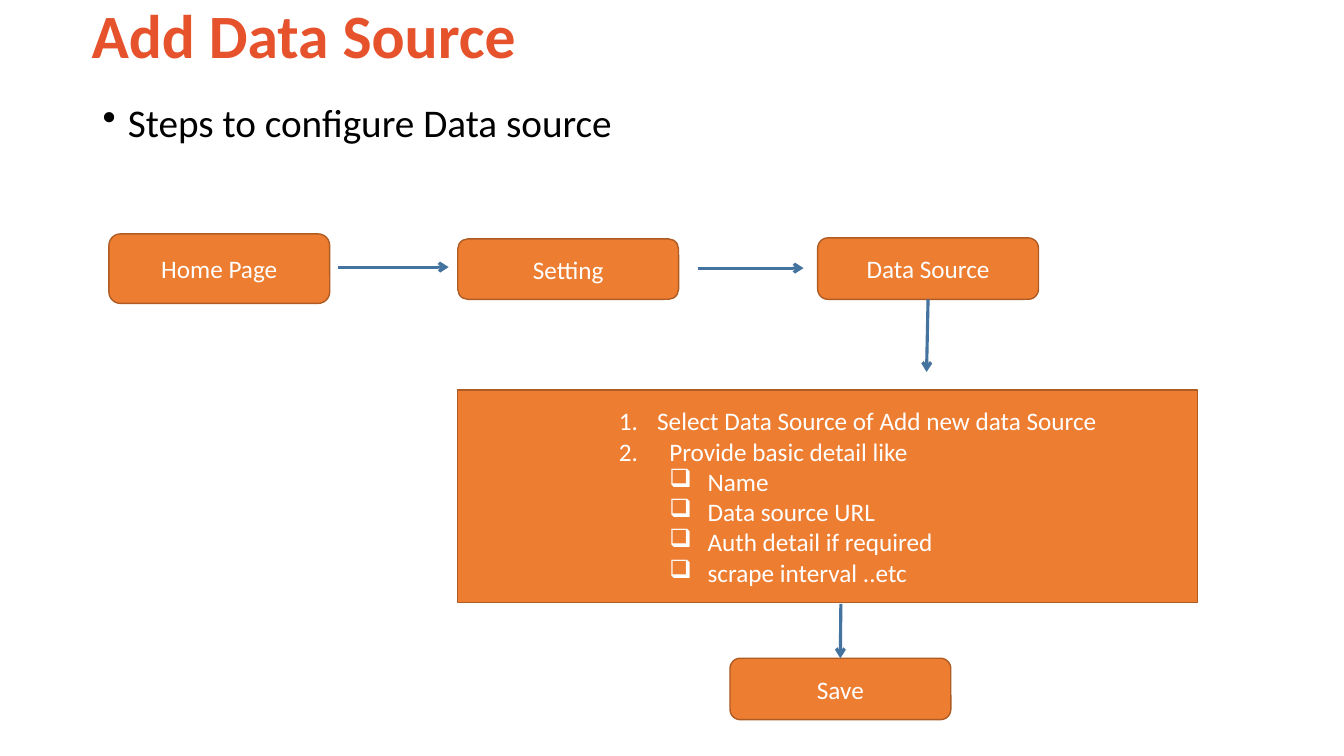
from dataclasses import dataclass

from lxml.etree import SubElement
from pptx import Presentation
from pptx.dml.color import RGBColor
from pptx.enum.shapes import MSO_CONNECTOR as Conn, MSO_SHAPE as Shape
from pptx.enum.text import MSO_ANCHOR as Anchor, PP_ALIGN as Align
from pptx.oxml.ns import qn
from pptx.util import Emu, Pt

PX = 9144
TOP, BOTTOM = 0, 2


@dataclass(frozen=True)
class Theme:
    """Colours, font and type sizes of the slide."""
    font: str = "Calibri"
    title: str = "E6522C"
    body: str = "000000"
    box: str = "ED7D31"
    border: str = "AF5C24"
    arrow: str = "43739E"
    label: str = "FFFFFF"
    title_size: int = 44
    body_size: int = 28
    label_size: int = 18


def px(n):
    """Turn px into EMU."""
    return Emu(n * PX)


def rgb(value):
    """Turn a hex string into a colour."""
    return RGBColor.from_string(value)


def write(p, text, *, font, size, color, bold=False, align=Align.LEFT,
          spacing=None, left=0, hang=0, bullet=None, number=None):
    """Write one formatted paragraph, with an optional bullet or number."""
    p.alignment = align
    if spacing:
        p.line_spacing = spacing
    r = p.add_run()
    r.text = text
    r.font.name, r.font.size, r.font.bold = font, Pt(size), bold
    r.font.color.rgb = rgb(color)
    if bullet or number:
        pPr = p._p.get_or_add_pPr()
        pPr.set("marL", str(px(left)))
        pPr.set("indent", str(-px(hang)))
        if bullet:
            SubElement(pPr, qn("a:buChar"), char=bullet)
        else:
            SubElement(pPr, qn("a:buAutoNum"), type="arabicPeriod", startAt=str(number))


class Flow:
    """Draw flow chart elements on one slide in one theme."""

    def __init__(self, slide, theme):
        """Keep the slide and the theme."""
        self.shapes, self.theme = slide.shapes, theme

    def text(self, box, text, anchor=Anchor.TOP, **style):
        """Add a one-paragraph text box."""
        tf = self.shapes.add_textbox(*map(px, box)).text_frame
        tf.word_wrap, tf.vertical_anchor = True, anchor
        write(tf.paragraphs[0], text, font=self.theme.font, spacing=0.9, **style)

    def box(self, box, lines, kind=Shape.ROUNDED_RECTANGLE):
        """Add a filled box holding pairs of text and paragraph format."""
        t = self.theme
        sp = self.shapes.add_shape(kind, *map(px, box))
        sp.shadow.inherit = False
        sp.fill.solid()
        sp.fill.fore_color.rgb = rgb(t.box)
        sp.line.color.rgb = rgb(t.border)
        sp.line.width = Pt(1)
        tf = sp.text_frame
        tf.word_wrap, tf.vertical_anchor = True, Anchor.MIDDLE
        for i, (text, style) in enumerate(lines):
            p = tf.add_paragraph() if i else tf.paragraphs[0]
            write(p, text, font=t.font, size=t.label_size, color=t.label, **style)
        return sp

    def step(self, box, label):
        """Add a rounded box with a centred label."""
        return self.box(box, [(label, {"align": Align.CENTER})])

    def arrow(self, start, end):
        """Add an arrow between two points."""
        cx = self.shapes.add_connector(Conn.STRAIGHT, *map(px, start + end))
        cx.line.color.rgb = rgb(self.theme.arrow)
        cx.line.width = Pt(2.25)
        SubElement(cx.line._get_or_add_ln(), qn("a:tailEnd"), type="arrow")
        SubElement(cx._element.spPr, qn("a:effectLst"))
        return cx


def main():
    """Build and save the slide."""
    prs = Presentation()
    prs.slide_width, prs.slide_height = px(1333), px(750)
    t = Theme()
    flow = Flow(prs.slides.add_slide(prs.slide_layouts[6]), t)

    flow.text((81, 0, 1150, 77), "Add Data Source", Anchor.MIDDLE,
              size=t.title_size, color=t.title, bold=True)
    flow.text((92, 98, 1139, 60), "Steps to configure Data source",
              size=t.body_size, color=t.body, left=25, hang=25, bullet="•")

    details = ["Name", "Data source URL", "Auth detail if required", "scrape interval ..etc"]
    flow.box((454, 387, 734, 211), [
        ("Select Data Source of Add new data Source", {"left": 188, "hang": 38, "number": 1}),
        ("Provide basic detail like", {"left": 200, "hang": 50, "number": 2}),
        *((d, {"left": 238, "hang": 38, "bullet": "❑"}) for d in details),
    ], Shape.RECTANGLE)

    flow.step((108, 232, 219, 69), "Home Page")
    flow.step((454, 237, 219, 60), "Setting")
    source = flow.step((811, 236, 219, 61), "Data Source")
    save = flow.step((724, 653, 219, 61), "Save")

    flow.arrow((335, 265), (445, 265))
    flow.arrow((692, 266), (797, 266))
    flow.arrow((920, 297), (919, 369)).begin_connect(source, BOTTOM)
    flow.arrow((834, 599), (833, 653)).end_connect(save, TOP)

    prs.save("out.pptx")


if __name__ == "__main__":
    main()
